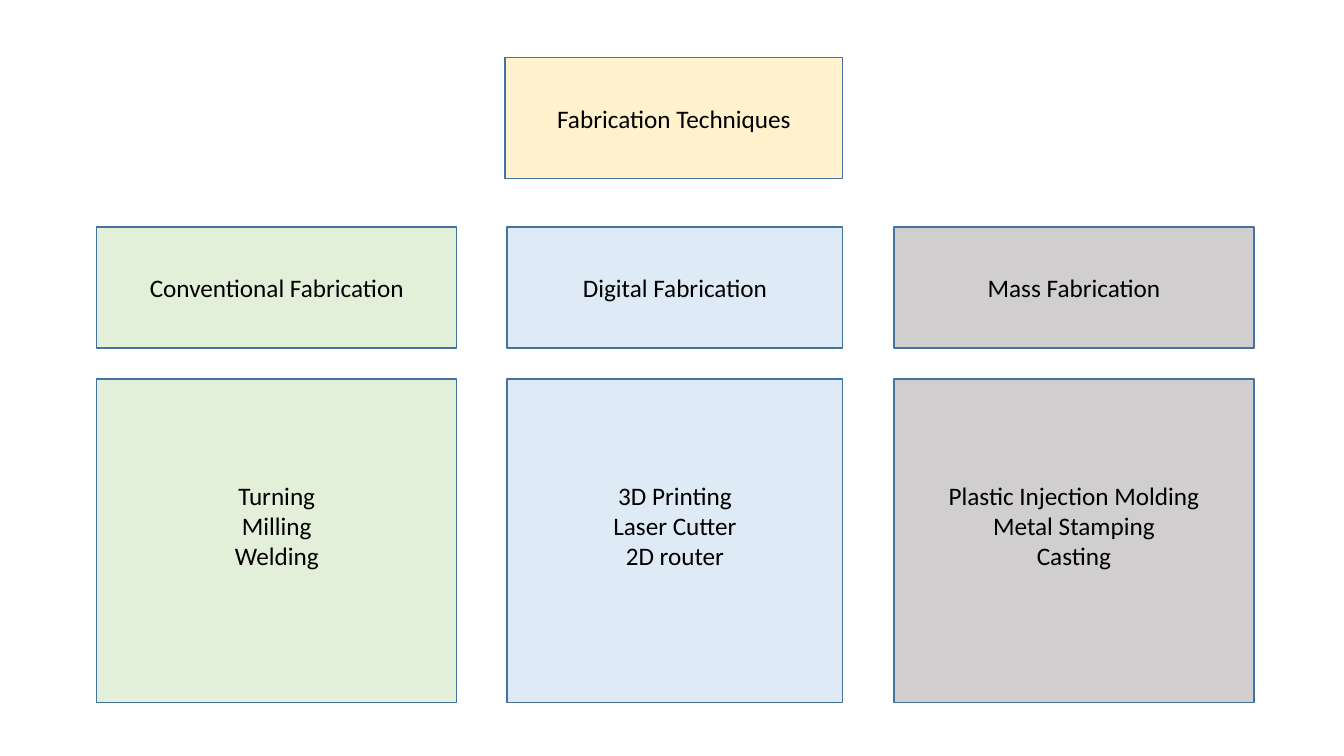
from dataclasses import dataclass

import pptx
import pptx.dml.color
import pptx.enum.shapes
import pptx.enum.text
import pptx.util

Cm = pptx.util.Cm


@dataclass(frozen=True)
class Theme:
    font: str = "Calibri"
    text_size: int = 18
    line_width: int = 1
    text: str = "000000"
    outline: str = "43739E"
    root: str = "FFF2CC"
    conventional: str = "E2F0D9"
    digital: str = "DEEBF7"
    mass: str = "D0CECE"


THEME = Theme()

ROOT_TOP = 1.45
HEADING_TOP = 5.72
METHODS_TOP = 9.55
HEADING_HEIGHT = 3.05
METHODS_HEIGHT = 8.15
METHODS_BOTTOM_INSET = 0.9  # lifts the lists half a line above the middle

# heading, fill, left, width, methods
BRANCHES = [
    ("Conventional Fabrication", THEME.conventional, 2.44, 9.07,
     ["Turning", "Milling", "Welding"]),
    ("Digital Fabrication", THEME.digital, 12.78, 8.46,
     ["3D Printing", "Laser Cutter", "2D router"]),
    ("Mass Fabrication", THEME.mass, 22.53, 9.07,
     ["Plastic Injection Molding", "Metal Stamping", "Casting"]),
]


def rgb(value):
    return pptx.dml.color.RGBColor.from_string(value)


def style_box(box, fill):
    box.fill.solid()
    box.fill.fore_color.rgb = rgb(fill)
    box.line.color.rgb = rgb(THEME.outline)
    box.line.width = pptx.util.Pt(THEME.line_width)


def write_lines(frame, lines):
    """Fill a text frame with centred lines, one paragraph each."""
    frame.word_wrap = True
    frame.auto_size = pptx.enum.text.MSO_AUTO_SIZE.NONE
    frame.vertical_anchor = pptx.enum.text.MSO_ANCHOR.MIDDLE
    for index, line in enumerate(lines):
        paragraph = frame.add_paragraph() if index else frame.paragraphs[0]
        paragraph.alignment = pptx.enum.text.PP_ALIGN.CENTER
        run = paragraph.add_run()
        run.text = line
        run.font.name = THEME.font
        run.font.size = pptx.util.Pt(THEME.text_size)
        run.font.color.rgb = rgb(THEME.text)


def place_title(slide, text):
    title = slide.shapes.title
    title.left, title.top = Cm(12.73), Cm(ROOT_TOP)
    title.width, title.height = Cm(8.51), Cm(HEADING_HEIGHT)
    style_box(title, THEME.root)
    write_lines(title.text_frame, [text])


def add_box(slide, left, top, width, height, fill, lines):
    box = slide.shapes.add_shape(
        pptx.enum.shapes.MSO_SHAPE.RECTANGLE,
        Cm(left), Cm(top), Cm(width), Cm(height))
    box.shadow.inherit = False
    style_box(box, fill)
    write_lines(box.text_frame, lines)
    return box


def add_branch(slide, heading, fill, left, width, methods):
    add_box(slide, left, HEADING_TOP, width, HEADING_HEIGHT, fill, [heading])
    methods_box = add_box(
        slide, left, METHODS_TOP, width, METHODS_HEIGHT, fill, methods)
    methods_box.text_frame.margin_bottom = Cm(METHODS_BOTTOM_INSET)


def main():
    presentation = pptx.Presentation()
    presentation.slide_width = Cm(33.87)
    presentation.slide_height = Cm(19.05)
    title_only = presentation.slide_layouts.get_by_name("Title Only")
    slide = presentation.slides.add_slide(title_only)

    place_title(slide, "Fabrication Techniques")
    for branch in BRANCHES:
        add_branch(slide, *branch)

    presentation.save("out.pptx")


if __name__ == "__main__":
    main()
